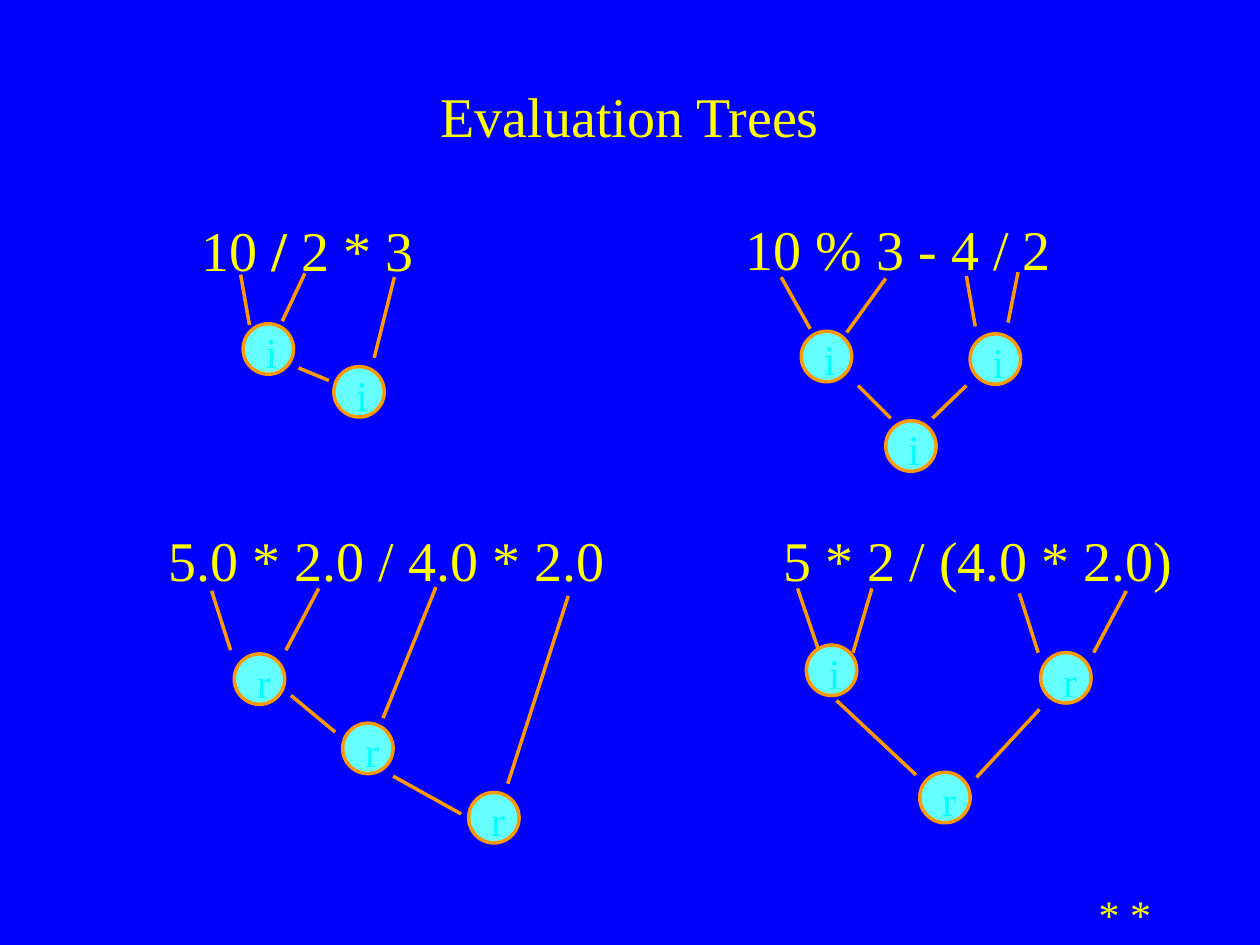
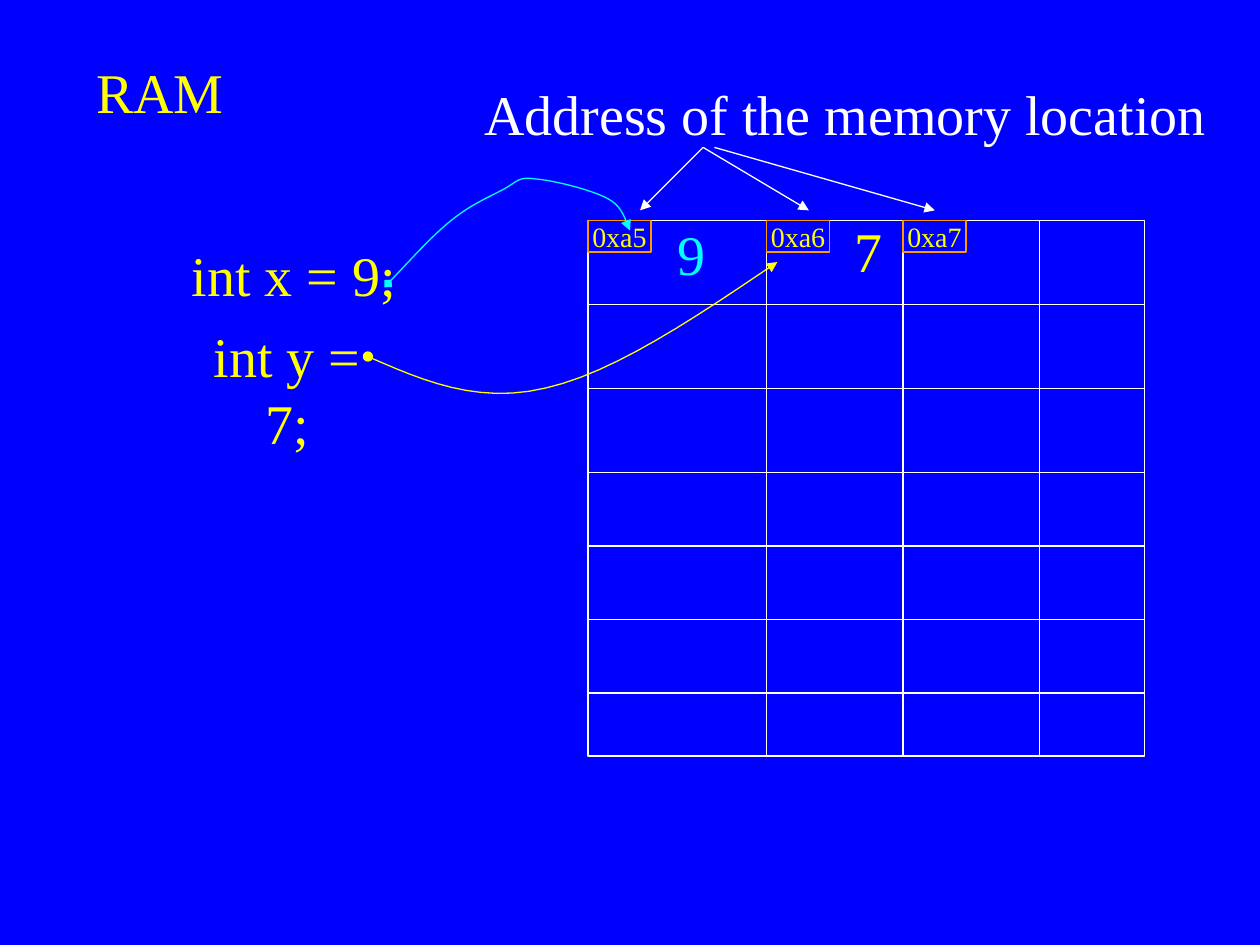
"""Builds two lecture slides: expression evaluation trees and a RAM address grid."""
from lxml.etree import SubElement
from pptx import Presentation
from pptx.dml.color import RGBColor
from pptx.enum.shapes import MSO_CONNECTOR, MSO_SHAPE
from pptx.enum.text import MSO_ANCHOR, MSO_AUTO_SIZE, PP_ALIGN
from pptx.oxml.ns import qn
from pptx.util import Inches, Pt

SLIDE_W, SLIDE_H = Inches(10), Inches(7.5)
CELL = SLIDE_W / 10

BLUE = RGBColor(0x00, 0x00, 0xFF)
YELLOW = RGBColor(0xFF, 0xFF, 0x00)
ORANGE = RGBColor(0xFF, 0x99, 0x00)
PALE_CYAN = RGBColor(0x66, 0xFF, 0xFF)
CYAN = RGBColor(0x00, 0xFF, 0xFF)
WHITE = RGBColor(0xFF, 0xFF, 0xFF)

FONT = "Times New Roman"
EXPR_SIZE, NODE_SIZE, ADDRESS_SIZE = 32, 24, 16
TREE_LINE, GRID_LINE = 2, 0.75
NODE_D = 0.4
EXPR_H = 0.63

TREES = [
    {
        "expr": (1.5, 1.66, 2.07, [("10 ", False), ("/", True), (" 2 * 3", False)]),
        "nodes": [("i", 1.93, 2.57), ("i", 2.65, 2.91)],
        "edges": [(1.91, 2.18, 1.98, 2.58), (2.42, 2.17, 2.24, 2.55),
                  (2.37, 2.92, 2.61, 3.02), (3.13, 2.2, 2.97, 2.84)],
    },
    {
        "expr": (5.82, 1.65, 2.69, [("10 % 3 - 4 / 2", False)]),
        "nodes": [("i", 7.03, 3.34), ("i", 7.7, 2.65), ("i", 6.36, 2.63)],
        "edges": [(7.67, 2.19, 7.74, 2.59), (8.08, 2.16, 8, 2.56),
                  (6.2, 2.2, 6.43, 2.61), (7.03, 2.21, 6.72, 2.64),
                  (6.81, 3.06, 7.07, 3.32), (7.67, 3.06, 7.4, 3.32)],
    },
    {
        "expr": (1.24, 4.12, 3.9, [("5.0 * 2.0 / 4.0 * 2.0", False)]),
        "nodes": [("r", 1.86, 5.19), ("r", 2.72, 5.74), ("r", 3.72, 6.29)],
        "edges": [(1.68, 4.69, 1.83, 5.16), (2.53, 4.67, 2.27, 5.16),
                  (2.31, 5.52, 2.66, 5.81), (3.46, 4.66, 3.04, 5.7),
                  (4.51, 4.73, 4.03, 6.22), (3.12, 6.16, 3.66, 6.46)],
    },
    {
        "expr": (6.12, 4.12, 3.5, [("5 * 2 / (4.0 * 2.0)", False)]),
        "nodes": [("i", 6.4, 5.12), ("r", 7.3, 6.13), ("r", 8.26, 5.18)],
        "edges": [(8.09, 4.71, 8.24, 5.18), (8.94, 4.69, 8.68, 5.18),
                  (8.25, 5.63, 7.75, 6.17), (6.64, 5.56, 7.27, 6.15),
                  (6.33, 4.67, 6.5, 5.17), (6.92, 4.67, 6.77, 5.18)],
    },
]

GRID_COLS = [n / 12 for n in (56, 73, 86, 99, 109)]
GRID_ROWS = [n / 12 for n in (21, 29, 37, 45, 52, 59, 66, 72)]
ADDRESSES = ["0xa5", "0xa6", "0xa7"]
ADDRESS_ARROWS = [(5.58, 1.17, 5.08, 1.67), (5.58, 1.17, 6.42, 1.67),
                  (5.67, 1.17, 7.42, 1.67)]
X_CURVE = [(3.08, 2.25), (3.26, 2.06), (3.43, 1.87), (3.58, 1.75),
           (3.74, 1.62), (3.89, 1.56), (4, 1.5),
           (4.11, 1.44), (4.11, 1.4), (4.25, 1.42),
           (4.39, 1.43), (4.71, 1.51), (4.83, 1.58),
           (4.96, 1.65), (4.97, 1.79), (5, 1.83)]
Y_CURVE = [(2.92, 2.83), (3.35, 3.02), (3.79, 3.21), (4.33, 3.08),
           (4.87, 2.96), (5.52, 2.52), (6.17, 2.08)]


def grid(*lengths):
    """Turn grid columns and rows into slide lengths."""
    return [round(n * CELL) for n in lengths]


def apply(obj, **values):
    """Set each given attribute of an object."""
    for name, value in values.items():
        setattr(obj, name, value)


def write(sp, lines, size, color, align=PP_ALIGN.LEFT, wrap=True,
          anchor=MSO_ANCHOR.TOP, fit=MSO_AUTO_SIZE.SHAPE_TO_FIT_TEXT,
          gap=0, right_margin=0):
    """Fill a shape with run lists; gap and margin apply after the first line."""
    tf = sp.text_frame
    apply(tf, word_wrap=wrap, auto_size=fit, vertical_anchor=anchor)
    for i, runs in enumerate(lines):
        p = tf.add_paragraph() if i else tf.paragraphs[0]
        apply(p, alignment=align, space_before=Pt(gap if i else 0))
        if i and right_margin:
            p._p.get_or_add_pPr().set("marR", str(Pt(right_margin)))
        for text, bold in runs:
            r = p.add_run()
            r.text = text
            apply(r.font, name=FONT, size=Pt(size), bold=bold)
            r.font.color.rgb = color


def add_text(shapes, box, lines, size, color, **layout):
    """Add a text box."""
    sp = shapes.add_textbox(*grid(*box))
    write(sp, lines, size, color, **layout)


def add_title(s, box, text, **layout):
    """Place and format the title placeholder."""
    sp = s.shapes.title
    apply(sp, **dict(zip(("left", "top", "width", "height"), grid(*box))))
    write(sp, [[(text, False)]], EXPR_SIZE, YELLOW, align=PP_ALIGN.CENTER,
          fit=MSO_AUTO_SIZE.NONE, **layout)


def outline(sp, color, width, head=None, tail=None):
    """Set line colour, width and arrowheads."""
    sp.line.color.rgb = color
    sp.line.width = Pt(width)
    ln = sp.line._get_or_add_ln()
    for tag, kind in (("a:headEnd", head), ("a:tailEnd", tail)):
        if kind:
            SubElement(ln, qn(tag), type=kind)


def add_line(shapes, ends, color, width, **heads):
    """Add a straight connector without shadow."""
    cx = shapes.add_connector(MSO_CONNECTOR.STRAIGHT, *grid(*ends))
    outline(cx, color, width, **heads)
    SubElement(cx._element.spPr, qn("a:effectLst"))


def add_preset(shapes, kind, box, color, width, fill=None):
    """Add an outlined preset shape, filled when a colour is given."""
    sp = shapes.add_shape(kind, *grid(*box))
    sp.shadow.inherit = False
    if fill is None:
        sp.fill.background()
    else:
        sp.fill.solid()
        sp.fill.fore_color.rgb = fill
    outline(sp, color, width)
    return sp


def bezier(points, steps=12):
    """Sample a chain of cubic curves that share their end points."""
    for i in range(0, len(points) - 1, 3):
        for k in range(1, steps + 1):
            t = k / steps
            u = 1 - t
            weights = (u ** 3, 3 * u * u * t, 3 * u * t * t, t ** 3)
            yield grid(*(sum(w * pt[axis] for w, pt in zip(weights, points[i:i + 4]))
                         for axis in (0, 1)))


def add_curve(shapes, points, color, head):
    """Add an open curve that ends in an arrow."""
    fb = shapes.build_freeform(*grid(*points[0]))
    fb.add_line_segments(list(bezier(points)), close=False)
    sp = fb.convert_to_shape()
    sp.shadow.inherit = False
    sp.fill.background()
    outline(sp, color, GRID_LINE, head=head, tail="triangle")


def add_tree(s, tree):
    """Add one grouped evaluation tree."""
    shapes = s.shapes.add_group_shape().shapes
    x, y, w, runs = tree["expr"]
    add_text(shapes, (x, y, w, EXPR_H), [runs], EXPR_SIZE, YELLOW)
    for ends in tree["edges"]:
        add_line(shapes, ends, ORANGE, TREE_LINE)
    for label, x, y in tree["nodes"]:
        add_preset(shapes, MSO_SHAPE.OVAL, (x, y, NODE_D, NODE_D),
                   ORANGE, TREE_LINE, PALE_CYAN)
        add_text(shapes, (x + 0.08, y - 0.03, 0.33, 0.5), [[(label, False)]],
                 NODE_SIZE, CYAN)


def add_memory(shapes):
    """Add the memory grid with its address tags."""
    left, right = GRID_COLS[0], GRID_COLS[-1]
    top, bottom = GRID_ROWS[0], GRID_ROWS[-1]
    add_preset(shapes, MSO_SHAPE.RECTANGLE,
               (left, top, right - left, bottom - top), WHITE, GRID_LINE)
    rows = [(left, y, right, y) for y in GRID_ROWS[1:-1]]
    cols = [(x, top, x, bottom) for x in GRID_COLS[1:-1]]
    for ends in rows + cols:
        add_line(shapes, ends, WHITE, GRID_LINE)
    for x, address in zip(GRID_COLS, ADDRESSES):
        sp = add_preset(shapes, MSO_SHAPE.RECTANGLE, (x, top, 0.5, 0.25),
                        ORANGE, GRID_LINE)
        write(sp, [[(address, False)]], ADDRESS_SIZE, YELLOW, align=PP_ALIGN.CENTER,
              wrap=False, anchor=MSO_ANCHOR.MIDDLE, fit=MSO_AUTO_SIZE.NONE)


def build_trees(s):
    """Build the evaluation trees slide."""
    add_title(s, (0.75, 0.5, 8.5, 0.83), "Evaluation Trees", anchor=MSO_ANCHOR.MIDDLE)
    for tree in TREES:
        add_tree(s, tree)
    add_text(s.shapes, (8.62, 7, 1.38, 0.5), [[("* *", False)]], NODE_SIZE, YELLOW)


def build_ram(s):
    """Build the RAM slide."""
    add_title(s, (0.61, 0.41, 1.32, 0.64), "RAM", wrap=False)
    add_memory(s.shapes)
    centred = {"align": PP_ALIGN.CENTER, "wrap": False}
    code = [[("int x = 9;", False)], [("int y = 7;", False)]]
    add_text(s.shapes, (1.37, 1.86, 1.93, 1.28), code, EXPR_SIZE, YELLOW,
             gap=8, right_margin=8, **centred)
    add_curve(s.shapes, X_CURVE, CYAN, "diamond")
    add_curve(s.shapes, Y_CURVE, YELLOW, "oval")
    for box, text, color in (
            ((5.28, 1.69, 0.42, 0.64), "9", CYAN),
            ((6.37, 1.67, 1.04, 0.64), "7", YELLOW),
            ((3.65, 0.58, 6.12, 0.64), "Address of the memory location", WHITE)):
        add_text(s.shapes, box, [[(text, False)]], EXPR_SIZE, color, **centred)
    for ends in ADDRESS_ARROWS:
        add_line(s.shapes, ends, WHITE, GRID_LINE, tail="triangle")


def main():
    """Build and save the presentation."""
    prs = Presentation()
    apply(prs, slide_width=SLIDE_W, slide_height=SLIDE_H)
    fill = prs.slide_master.background.fill
    fill.solid()
    fill.fore_color.rgb = BLUE
    for build in (build_trees, build_ram):
        build(prs.slides.add_slide(prs.slide_layouts[5]))
    prs.save("out.pptx")


if __name__ == "__main__":
    main()
